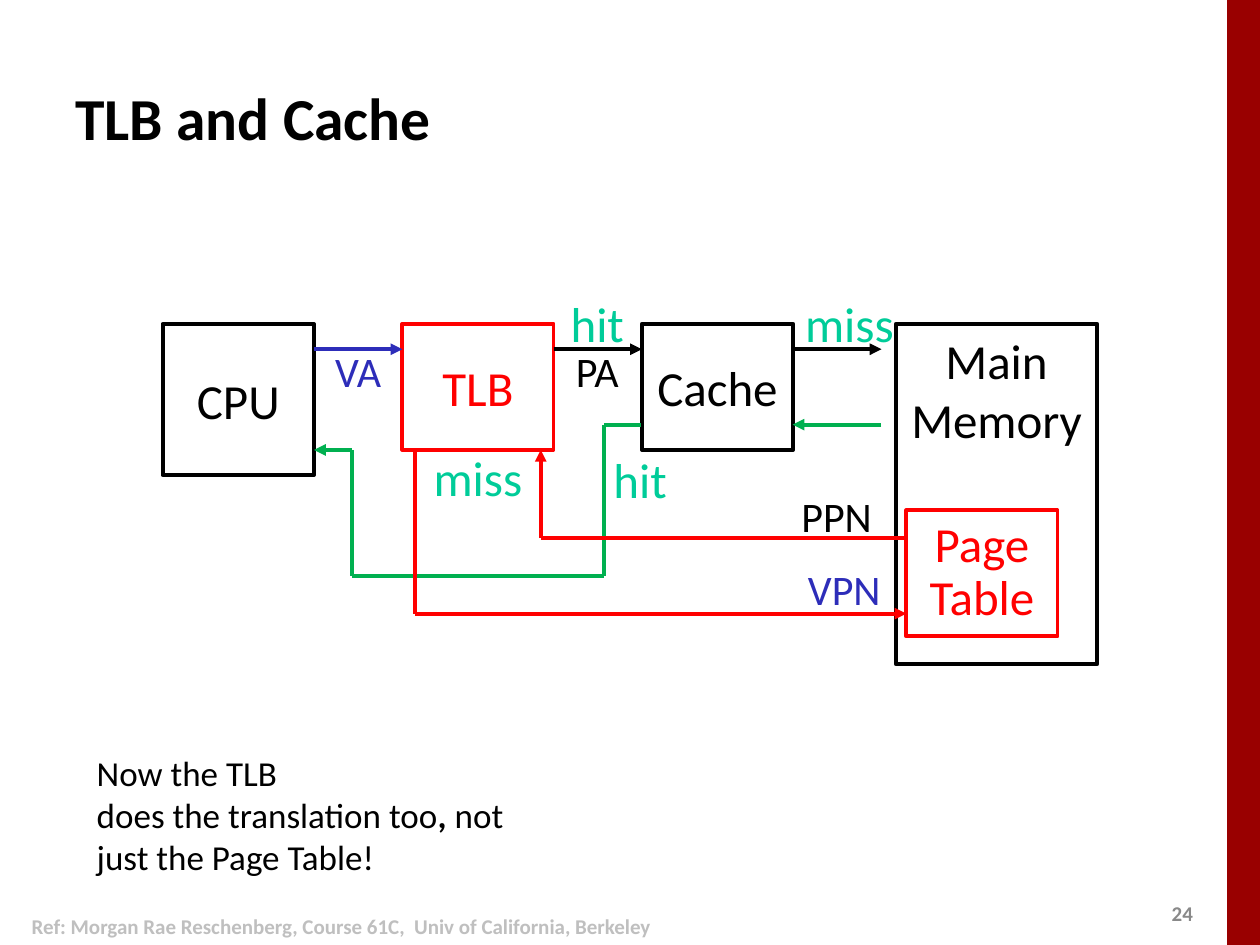
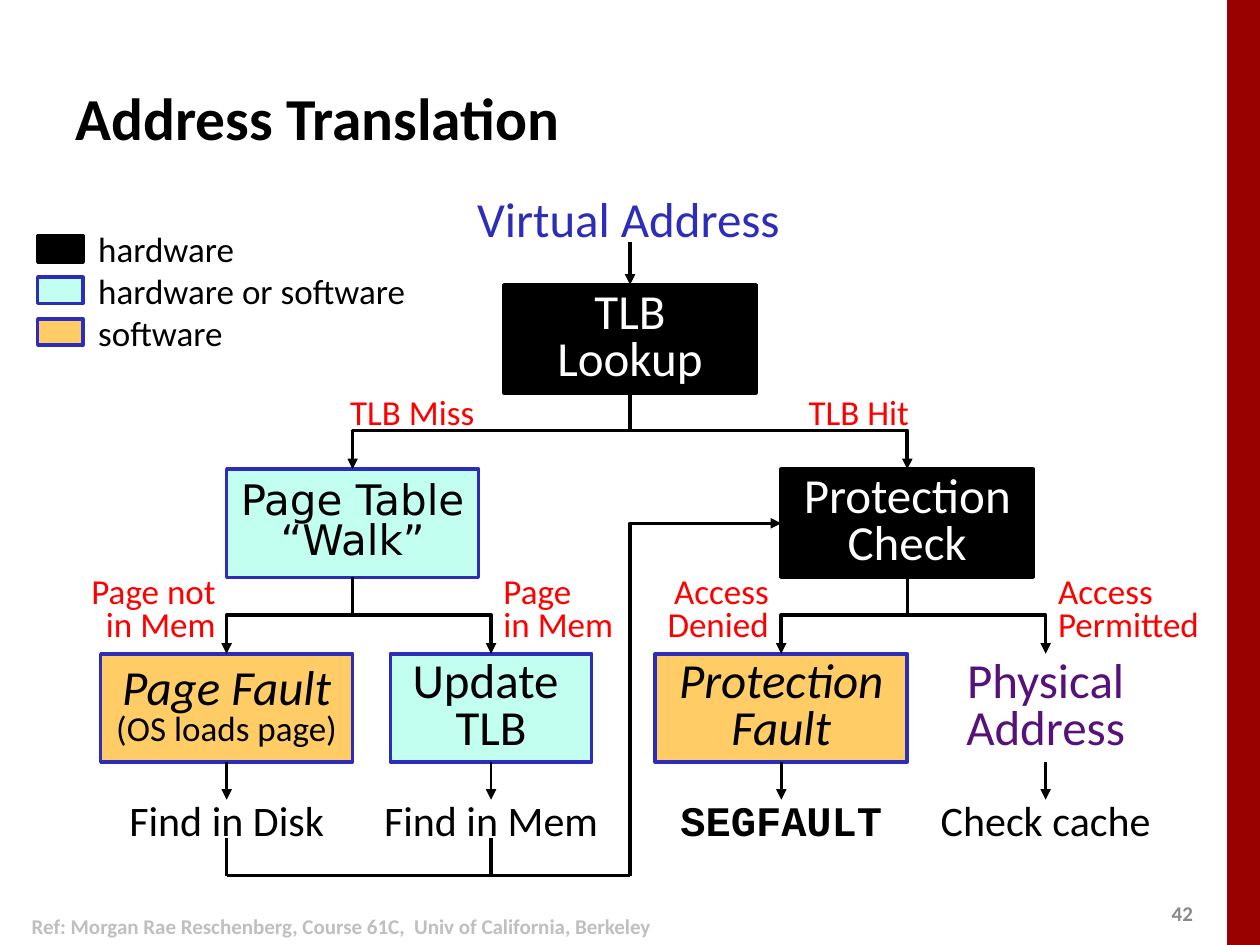
from itertools import pairwise

from lxml.etree import SubElement
from pptx import Presentation
from pptx.dml.color import RGBColor
from pptx.enum.shapes import MSO_CONNECTOR as CONN, MSO_SHAPE as SHAPE
from pptx.enum.text import MSO_ANCHOR as ANCHOR, PP_ALIGN as ALIGN
from pptx.oxml.ns import qn
from pptx.util import Cm, Pt

BLACK = RGBColor(0x00, 0x00, 0x00)
WHITE = RGBColor(0xFF, 0xFF, 0xFF)
CRIMSON = RGBColor(0x99, 0x00, 0x00)
RED = RGBColor(0xFF, 0x00, 0x00)
BLUE = RGBColor(0x2D, 0x2D, 0xB9)
GREEN = RGBColor(0x00, 0xB0, 0x50)
TEAL = RGBColor(0x00, 0xCC, 0x99)
PURPLE = RGBColor(0x56, 0x12, 0x7A)
MINT = RGBColor(0xC2, 0xFF, 0xF0)
AMBER = RGBColor(0xFF, 0xCC, 0x66)
GREY = RGBColor(0x89, 0x89, 0x89)
PALE_GREY = RGBColor(0xBF, 0xBF, 0xBF)

INSET = (0.25, 0.13)
TIGHT = (0.18, 0.08)
NO_INSET = (0, 0)
HARDWARE = (BLACK, BLACK)
EITHER = (MINT, BLUE)
SOFTWARE = (AMBER, BLUE)


def write(shape, lines, size, color=BLACK, align=ALIGN.LEFT, anchor=ANCHOR.TOP,
          inset=INSET, spacing=None, font="Calibri", bold=False, italic=False):
    """Write one paragraph per line; a line is a string or a list of (text, style) runs."""
    tf = shape.text_frame
    tf.word_wrap = True
    tf.vertical_anchor = anchor
    tf.margin_left = tf.margin_right = Cm(inset[0])
    tf.margin_top = tf.margin_bottom = Cm(inset[1])
    for i, line in enumerate(lines):
        p = tf.add_paragraph() if i else tf.paragraphs[0]
        p.alignment = align
        if spacing:
            p.line_spacing = spacing
        for text, style in [(line, {})] if isinstance(line, str) else line:
            if text == "\n":
                p.add_line_break()
                continue
            r = p.add_run()
            r.text = text
            r.font.name = font
            r.font.size = Pt(style.get("size", size))
            r.font.bold = style.get("bold", bold)
            r.font.italic = style.get("italic", italic)
            r.font.color.rgb = color


def add_text(s, x, y, w, h, lines, size, color=BLACK, **style):
    """Add a text box."""
    box = s.shapes.add_textbox(Cm(x), Cm(y), Cm(w), Cm(h))
    write(box, lines, size, color, **style)
    return box


def add_rect(s, x, y, w, h, fill=None, line=None, width=2):
    """Add a rectangle with an optional fill and outline."""
    rect = s.shapes.add_shape(SHAPE.RECTANGLE, Cm(x), Cm(y), Cm(w), Cm(h))
    rect.shadow.inherit = False
    if fill is None:
        rect.fill.background()
    else:
        rect.fill.solid()
        rect.fill.fore_color.rgb = fill
    if line is None:
        rect.line.fill.background()
    else:
        rect.line.color.rgb = line
        rect.line.width = Pt(width)
    return rect


def link(s, start, end, color=BLACK, width=2, arrow=None, elbow=False):
    """Connect two EMU points; an elbow runs sideways first, arrow is headEnd or tailEnd."""
    c = s.shapes.add_connector(CONN.ELBOW if elbow else CONN.STRAIGHT, *start, *end)
    c.line.color.rgb = color
    c.line.width = Pt(width)
    sp_pr = c._element.spPr
    if arrow:
        SubElement(sp_pr.find(qn("a:ln")), qn("a:" + arrow), type="triangle")
    if elbow:
        geom = sp_pr.find(qn("a:prstGeom"))
        guides = geom.find(qn("a:avLst"))
        if guides is None:
            guides = SubElement(geom, qn("a:avLst"))
        SubElement(guides, qn("a:gd"), name="adj1", fmla="val 100000")
    SubElement(sp_pr, qn("a:effectLst"))
    return c


def route(s, x, y, points, color):
    """Draw straight segments through the points and end with an arrow."""
    stops = [(Cm(x + px), Cm(y + py)) for px, py in points]
    for start, end in pairwise(stops):
        link(s, start, end, color, 2.25, "tailEnd" if end is stops[-1] else None)


def top_of(shape):
    """Return the middle of the top side."""
    return shape.left + shape.width // 2, shape.top


def bottom_of(shape):
    """Return the middle of the bottom side."""
    return shape.left + shape.width // 2, shape.top + shape.height


def drop(s, shape, width, arrow=None):
    """Draw a short line down from the shape and return its lower end."""
    x, y = bottom_of(shape)
    end = x, y + Cm(0.76)
    link(s, (x, y), end, width=width, arrow=arrow).begin_connect(shape, 2)
    return end


def fork(s, parent, children):
    """Branch from the parent to the top of each child."""
    split = drop(s, parent, 2)
    for child in children:
        link(s, split, top_of(child), arrow="tailEnd", elbow=True)


def frame(prs, title, number):
    """Add a blank slide with the side band, title, footer and number."""
    s = prs.slides.add_slide(prs.slide_layouts[6])
    add_rect(s, 24.74, 0, 0.66, 19.05, CRIMSON)
    add_text(s, 23.37, 18.03, 1.02, 0.76, [str(number)], 12, GREY,
             anchor=ANCHOR.MIDDLE, bold=True)
    add_text(s, 1.27, 0.76, 22.86, 3.18, [title], 34, anchor=ANCHOR.MIDDLE, bold=True)
    add_text(s, 0.08, 18.16, 13.61, 1.02,
             ["Ref: Morgan Rae Reschenberg, Course 61C,  Univ of California, Berkeley"],
             12, PALE_GREY, align=ALIGN.CENTER, anchor=ANCHOR.MIDDLE, bold=True)
    return s


def memory_path(s, x, y):
    """Draw the CPU, TLB, cache and memory with the routes between them."""
    pitch, side = 4.83, 3.05
    units = [
        ("CPU", 0, 0, side, side, BLACK, ANCHOR.MIDDLE, None),
        ("TLB", pitch, 0, side, 2.54, RED, ANCHOR.MIDDLE, None),
        ("Cache", 2 * pitch, 0, side, 2.54, BLACK, ANCHOR.MIDDLE, None),
        ("Main Memory", 14.78, 0, 4.06, 6.86, BLACK, ANCHOR.TOP, None),
        ("Page Table", 14.99, 3.76, side, 2.54, RED, ANCHOR.MIDDLE, 0.9),
    ]
    for name, dx, dy, w, h, color, anchor, spacing in units:
        rect = add_rect(s, x + dx, y + dy, w, h, line=color, width=2.25)
        write(rect, [name], 28, color, ALIGN.CENTER, anchor, spacing=spacing)

    for i, color in enumerate([BLUE, BLACK, BLACK]):
        start = i * pitch + side
        route(s, x, y, [(start, 0.51), (start + 1.78, 0.51)], color)
    route(s, x, y, [(14.48, 2.03), (12.7, 2.03)], GREEN)
    route(s, x, y, [(9.65, 2.03), (8.89, 2.03), (8.89, 5.08), (3.81, 5.08),
                    (3.81, 2.54), (3.05, 2.54)], GREEN)
    route(s, x, y, [(14.99, 4.32), (7.62, 4.32), (7.62, 2.54)], RED)
    route(s, x, y, [(5.08, 2.54), (5.08, 5.84), (14.99, 5.84)], RED)

    labels = [
        ("VA", 3.05, 0.51, 1.78, 24, BLUE),
        ("PA", 7.87, 0.51, 1.78, 24, BLACK),
        ("PPN", 12.57, 3.43, 2.03, 24, BLACK),
        ("VPN", 12.7, 4.9, 2.08, 24, BLUE),
        ("hit", 7.87, -0.51, 1.78, 28, TEAL),
        ("miss", 12.7, -0.51, 2.29, 28, TEAL),
        ("miss", 4.83, 2.59, 3.05, 28, TEAL),
        ("hit", 8.89, 2.64, 1.47, 28, TEAL),
    ]
    for name, dx, dy, w, size, color in labels:
        add_text(s, x + dx, y + dy, w, 1.17, [name], size, color,
                 align=ALIGN.CENTER, inset=TIGHT, spacing=0.85)


def legend(s, x, y):
    """Draw the colour key."""
    for i, (fill, line) in enumerate([HARDWARE, EITHER, SOFTWARE]):
        add_rect(s, x, y + 0.3 + i * 0.84, 0.91, 0.53, fill, line)
    add_text(s, x + 0.97, y, 6.78, 2.82,
             ["hardware", "hardware or software", "software"], 20)


def step(s, center, y, w, lines, look, size=28, color=BLACK, **style):
    """Add a flowchart step centred on a column."""
    rect = add_rect(s, center - w / 2, y, w, 2.18, *look)
    write(rect, lines, size, color, ALIGN.CENTER, ANCHOR.MIDDLE, NO_INSET, 0.8, **style)
    return rect


def flowchart(s, x, y):
    """Draw the address translation flow."""
    left, middle, right = x + 5.08, x + 10.67, x + 16.26
    columns = [x + 2.54, x + 7.87, x + 13.72, x + 19.05]
    rows = [y + 1.93 + i * 3.72 for i in range(3)]

    add_text(s, x + 7.34, y, 6.68, 1.19, ["Virtual Address"], 28, BLUE, inset=(0.25, 0))
    lookup = step(s, middle, rows[0], 5.08, ["TLB", "Lookup"], HARDWARE, color=WHITE)
    walk = step(s, left, rows[1], 5.08, ["Page Table", "“Walk”"], EITHER, 24,
                font="DejaVu Sans")
    check = step(s, right, rows[1], 5.08, ["Protection", "Check"], HARDWARE, color=WHITE)
    page_fault = step(
        s, columns[0], rows[2], 5.08,
        ["Page Fault", [("(OS loads page)", {"size": 20, "italic": False})]],
        SOFTWARE, italic=True)
    update = step(s, columns[1], rows[2], 4.06, ["Update ", "TLB"], EITHER)
    denied = step(s, columns[2], rows[2], 5.08, ["Protection", "Fault"], SOFTWARE,
                  italic=True)
    physical = add_text(s, columns[3] - 2.03, rows[2], 4.06, 2.18,
                        ["Physical", "Address"], 28, PURPLE, align=ALIGN.CENTER,
                        anchor=ANCHOR.MIDDLE, inset=NO_INSET, spacing=0.8)

    entry = link(s, (Cm(middle), Cm(y + 1.07)), top_of(lookup), arrow="tailEnd")
    entry.end_connect(lookup, 0)
    fork(s, lookup, [walk, check])
    fork(s, walk, [page_fault, update])
    fork(s, check, [denied, physical])

    outcomes = ["Find in Disk", "Find in Mem", "SEGFAULT", "Check cache"]
    for shape, center, name in zip([page_fault, update, denied, physical],
                                   columns, outcomes):
        drop(s, shape, 1.5, "tailEnd")
        style = {"font": "Courier New", "bold": True} if name == "SEGFAULT" else {}
        add_text(s, center - 2.54, y + 12.07, 5.08, 1.27, [name], 24,
                 align=ALIGN.CENTER, anchor=ANCHOR.MIDDLE, **style)

    floor = Cm(y + 13.84)
    for center in columns[:2]:
        link(s, (Cm(center), Cm(y + 13.08)), (Cm(center), floor))
    link(s, (Cm(columns[0]), floor), (Cm(middle), floor))
    link(s, (check.left, check.top + check.height // 2), (Cm(middle), floor),
         arrow="headEnd", elbow=True)

    labels = [
        (4.78, 3.94, 3.1, ["TLB Miss"], ALIGN.LEFT),
        (14.02, 3.94, 2.7, ["TLB Hit"], ALIGN.LEFT),
        (-0.48, 7.7, 3.05, ["Page not", "in Mem"], ALIGN.RIGHT),
        (7.87, 7.7, 2.8, ["Page", "in Mem"], ALIGN.LEFT),
        (11.1, 7.7, 2.62, ["Access", "Denied"], ALIGN.RIGHT),
        (19.05, 7.7, 3.4, ["Access", "Permitted"], ALIGN.LEFT),
    ]
    for dx, dy, w, lines, align in labels:
        add_text(s, x + dx, y + dy, w, 0.55 * len(lines) + 0.53, lines, 20, RED,
                 align=align, spacing=0.8 if len(lines) > 1 else None)


def tlb_and_cache(prs):
    """Build the slide on the TLB and the cache."""
    s = frame(prs, "TLB and Cache", 24)
    memory_path(s, 3.28, 6.53)
    note = [("Now the TLB", {}), ("\n", {}), ("does the translation too", {}),
            (",", {"bold": True}), (" not just the Page Table!", {})]
    add_text(s, 1.7, 15.01, 9.5, 3.33, [note], 20)


def address_translation(prs):
    """Build the slide on address translation."""
    s = frame(prs, "Address Translation", 42)
    legend(s, 0.76, 4.45)
    flowchart(s, 2.03, 3.81)


def main():
    """Build and save the presentation."""
    prs = Presentation()
    prs.slide_width, prs.slide_height = Cm(25.4), Cm(19.05)
    tlb_and_cache(prs)
    address_translation(prs)
    prs.save("out.pptx")


if __name__ == "__main__":
    main()
